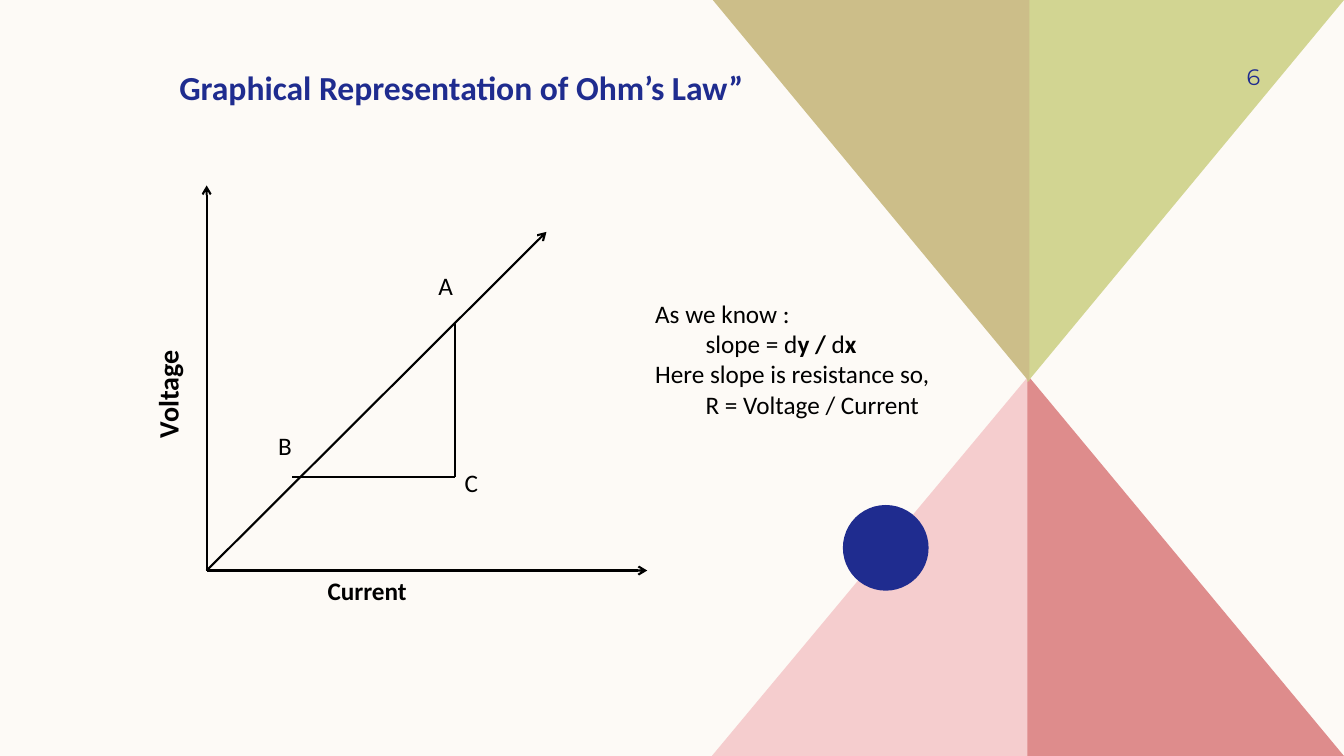
"""Build the slide on the graphical representation of Ohm's law."""
from lxml import etree
from pptx import Presentation
from pptx.dml.color import RGBColor
from pptx.enum.shapes import MSO_CONNECTOR, MSO_SHAPE
from pptx.enum.text import MSO_ANCHOR, PP_ALIGN
from pptx.oxml.ns import qn
from pptx.util import Inches, Pt

STRAIGHT = MSO_CONNECTOR.STRAIGHT
OVAL = MSO_SHAPE.OVAL
TOP, MIDDLE = MSO_ANCHOR.TOP, MSO_ANCHOR.MIDDLE
LEFT, RIGHT = PP_ALIGN.LEFT, PP_ALIGN.RIGHT

COLORS = {
    "paper": "FDFAF6",
    "navy": "1F2C8F",
    "ink": "000000",
    "pink": "F5CDCE",
    "rose": "DE8C8C",
    "lime": "D2D592",
    "sand": "CCBE89",
}


def rgb(name):
    return RGBColor.from_string(COLORS[name])


def add_run(paragraph, text, size=18, color="ink", bold=False, font="Calibri"):
    run = paragraph.add_run()
    run.text = text
    run.font.name = font
    run.font.size = Pt(size)
    run.font.bold = bold
    run.font.color.rgb = rgb(color)


class OhmSlide:
    def __init__(self, presentation):
        self.slide = presentation.slides.add_slide(presentation.slide_layouts[6])
        background = self.slide.background.fill
        background.solid()
        background.fore_color.rgb = rgb("paper")

    def paint(self, shape, color):
        shape.shadow.inherit = False
        shape.fill.solid()
        shape.fill.fore_color.rgb = rgb(color)
        shape.line.fill.background()

    def triangle(self, corners, color):
        points = [(Inches(x), Inches(y)) for x, y in corners]
        outline = self.slide.shapes.build_freeform(*points[0])
        outline.add_line_segments(points[1:], close=True)
        self.paint(outline.convert_to_shape(), color)

    def dot(self, left, top, size, color):
        circle = self.slide.shapes.add_shape(
            OVAL, Inches(left), Inches(top), Inches(size), Inches(size))
        self.paint(circle, color)

    def line(self, start, end, arrow=False):
        connector = self.slide.shapes.add_connector(
            STRAIGHT, *(Inches(v) for v in (*start, *end)))
        connector.line.color.rgb = rgb("ink")
        connector.line.width = Pt(1.5)
        if arrow:
            stroke = connector.line._get_or_add_ln()
            etree.SubElement(stroke, qn("a:tailEnd"), type="arrow")
        etree.SubElement(connector._element.spPr, qn("a:effectLst"))

    def text(self, box, paragraphs, align=LEFT, anchor=TOP, rotation=0,
             right_inset=0.1, **style):
        textbox = self.slide.shapes.add_textbox(*(Inches(v) for v in box))
        textbox.rotation = rotation
        frame = textbox.text_frame
        frame.word_wrap = True
        frame.vertical_anchor = anchor
        frame.margin_right = Inches(right_inset)
        for index, (indent, runs) in enumerate(paragraphs):
            paragraph = frame.paragraphs[0] if index == 0 else frame.add_paragraph()
            paragraph.alignment = align
            if indent:
                paragraph._p.get_or_add_pPr().set("marL", str(Inches(indent)))
            for content, bold in runs:
                add_run(paragraph, content, **{"bold": bold, **style})

    def label(self, box, content, bold=False, **style):
        self.text(box, [(0, [(content, bold)])], **style)


def main():
    presentation = Presentation()
    presentation.slide_width = Inches(13.33)
    presentation.slide_height = Inches(7.5)
    page = OhmSlide(presentation)

    wedges = [
        (10.21, 3.72, 7.06, 7.5, "pink"),
        (10.19, 3.72, 13.33, 7.5, "rose"),
        (10.19, 3.79, 13.33, 0, "lime"),
        (10.21, 3.79, 7.07, 0, "sand"),
    ]
    for axis, tip, corner, edge, color in wedges:
        page.triangle([(axis, tip), (corner, edge), (axis, edge)], color)
    page.dot(8.36, 5.01, 0.85, "navy")

    page.label((11.33, 0.5, 1.17, 0.52), "6", size=16, color="navy",
               font="Montserrat", align=RIGHT, anchor=MIDDLE, right_inset=0)
    page.label((1.68, 0.61, 7.91, 0.5), "Graphical Representation of Ohm’s Law”",
               bold=True, size=24, color="navy")

    origin = (2.05, 5.66)
    for tip in [(6.42, 5.66), (2.05, 1.84), (5.42, 2.3)]:
        page.line(origin, tip, arrow=True)
    slope_corner = (4.51, 4.73)
    page.line((4.51, 3.19), slope_corner)
    page.line((2.9, 4.73), slope_corner)

    for point, left, top in [("A", 4.25, 2.63), ("B", 2.66, 4.22), ("C", 4.51, 4.59)]:
        page.label((left, top, 0.52, 0.56), point)
    page.label((0.97, 3.36, 1.56, 0.61), "Voltage", bold=True, size=20, rotation=270)
    page.label((3.15, 5.66, 1.75, 0.56), "Current", bold=True)

    page.text((6.4, 2.91, 3.13, 1.31), [
        (0, [("As we know :", False)]),
        (0.5, [("slope = d", False), ("y / ", True), ("d", False), ("x", True)]),
        (0, [("Here slope is resistance so,", False)]),
        (0.5, [("R = Voltage / Current", False)]),
    ])

    presentation.save("out.pptx")


if __name__ == "__main__":
    main()
